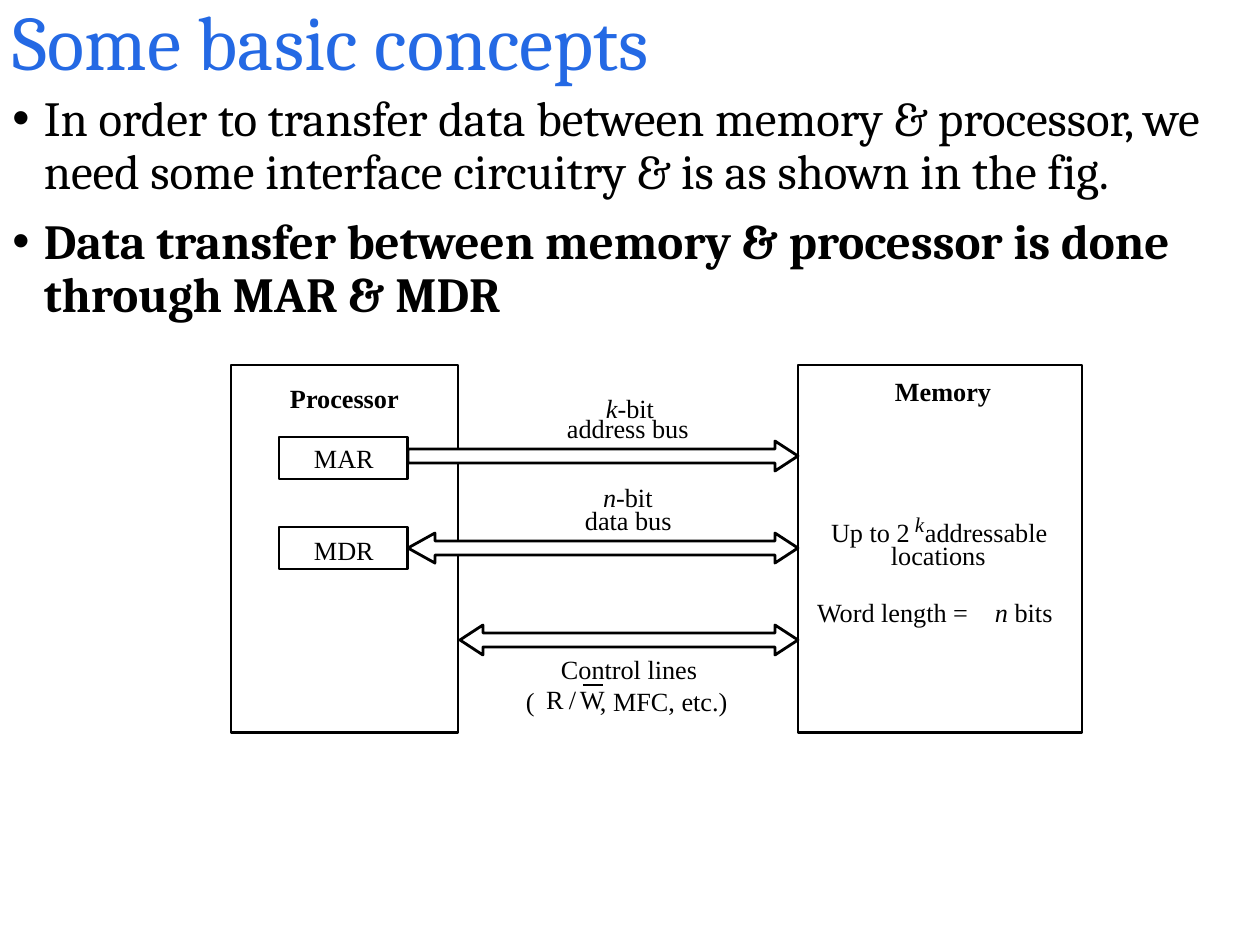
from lxml import etree
from pptx import Presentation
from pptx import util as u
from pptx.dml.color import RGBColor
from pptx.enum import shapes, text
from pptx.oxml.ns import qn

PX = 914400 / 126
SERIF, ROMAN = "Cambria", "Times New Roman"
BLACK, WHITE, BLUE = "000000", "FFFFFF", "2469E4"
STROKE = 1.62

# Left, top, width and runs of each label; "i:" marks italic, "b:" bold
LABELS = [
    (290, 382, 110, ["b:Processor"]),
    (895, 375, 98, ["b:Memory"]),
    (314, 442, 62, ["MAR"]),
    (314, 534, 62, ["MDR"]),
    (606, 392, 52, ["i:k", "-bit"]),
    (567, 412, 124, ["address bus"]),
    (603, 481, 54, ["i:n", "-bit"]),
    (585, 504, 89, ["data bus"]),
    (561, 653, 140, ["Control lines"]),
    (526, 685, 10, ["("]),
    (546, 683, 19, ["R"]),
    (569, 683, 8, ["/"]),
    (580, 683, 26, ["W"]),
    (600, 685, 130, [", MFC, etc.)"]),
    (831, 516, 81, ["Up to 2"]),
    (925, 516, 125, ["addressable"]),
    (891, 539, 97, ["locations"]),
    (817, 596, 155, ["Word length ="]),
    (995, 596, 60, ["i:n", " bits"]),
]


def px(*vals):
    return [u.Emu(round(v * PX)) for v in vals]


def color(code):
    return RGBColor.from_string(code)


def write(para, words, size=15, font=ROMAN, ink=BLACK, bold=False, ital=False):
    run = para.add_run()
    run.text = words
    f = run.font
    f.size, f.name, f.bold, f.italic = u.Pt(size), font, bold, ital
    f.color.rgb = color(ink)


def label(slide, left, top, width, runs, size=15):
    frame = slide.shapes.add_textbox(*px(left, top, width, 31)).text_frame
    frame.margin_left = frame.margin_right = 0
    frame.margin_top = frame.margin_bottom = 0
    frame.word_wrap = False
    frame.auto_size = text.MSO_AUTO_SIZE.SHAPE_TO_FIT_TEXT
    for item in runs:
        words = item[2:] if item[:2] in ("i:", "b:") else item
        write(frame.paragraphs[0], words, size,
              bold=item.startswith("b:"), ital=item.startswith("i:"))


def style(shape, fill=None):
    shape.shadow.inherit = False
    if fill:
        shape.fill.solid()
        shape.fill.fore_color.rgb = color(fill)
    else:
        shape.fill.background()
    shape.line.color.rgb = color(BLACK)
    shape.line.width = u.Pt(STROKE)


def box(slide, left, top, width, height, fill=None):
    kind = shapes.MSO_SHAPE.RECTANGLE
    style(slide.shapes.add_shape(kind, *px(left, top, width, height)), fill)


def arrow(slide, left, mid, tail=0, right=798, head=23):
    """Block arrow to the right; a tail length adds a head on the left."""
    shaft, wing = 7, 15
    neck, base = right - head, left + tail
    upper = [(base, -shaft), (neck, -shaft), (neck, -wing), (right, 0)]
    if tail:
        upper = [(left, 0), (base, -wing)] + upper
    lower = [(x, -y) for x, y in reversed(upper) if y]
    pts = [(round(x * PX), round((mid + y) * PX)) for x, y in upper + lower]
    path = slide.shapes.build_freeform(*pts[0])
    path.add_line_segments(pts[1:], close=True)
    style(path.convert_to_shape(), WHITE)


def bar(slide, x1, x2, y):
    kind = shapes.MSO_CONNECTOR.STRAIGHT
    line = slide.shapes.add_connector(kind, *px(x1, y, x2, y))
    line.line.color.rgb = color(BLACK)
    line.line.width = u.Pt(STROKE)
    etree.SubElement(line._element.spPr, qn("a:effectLst"))


def head(slide, words):
    title = slide.shapes.title
    title.left, title.top, title.width, title.height = px(0, 3, 1178, 85)
    frame = title.text_frame
    frame.auto_size = text.MSO_AUTO_SIZE.NONE
    frame.vertical_anchor = text.MSO_ANCHOR.MIDDLE
    para = frame.paragraphs[0]
    para.alignment = text.PP_ALIGN.LEFT
    para.line_spacing = 0.9
    write(para, words, 44, SERIF, BLUE)


def points(slide, items):
    frame = slide.shapes.add_textbox(*px(0, 88, 1260, 668)).text_frame
    frame.word_wrap = True
    for n, (words, bold) in enumerate(items):
        para = frame.add_paragraph() if n else frame.paragraphs[0]
        para.line_spacing = 0.9
        para.space_before = u.Pt(10 if n else 0)
        props = para._p.get_or_add_pPr()
        props.set("marL", str(u.Inches(0.25)))
        props.set("indent", str(-u.Inches(0.25)))
        etree.SubElement(props, qn("a:buFont"), typeface="Arial")
        etree.SubElement(props, qn("a:buChar"), char="•")
        write(para, words, 28, SERIF, bold=bold)


def main():
    prs = Presentation()
    prs.slide_width, prs.slide_height = px(1260, 945)
    slide = prs.slides.add_slide(prs.slide_layouts[5])

    # Title and bullets
    head(slide, "Some basic concepts")
    points(slide, [
        ("In order to transfer data between memory & processor, we need "
         "some interface circuitry & is as shown in the fig.", False),
        ("Data transfer between memory & processor is done through "
         "MAR & MDR", True),
    ])

    # Processor, memory and the three buses between them
    box(slide, 231, 365, 227, 368)
    box(slide, 798, 365, 284, 368)
    mids = [456 + 92 * n for n in range(3)]
    for mid, left, tail in zip(mids, (408, 408, 460), (0, 27, 23)):
        arrow(slide, left, mid, tail)

    # Registers
    for top in (437, 527):
        box(slide, 279, top, 129, 42, WHITE)

    # Labels, exponent and the bar over W
    for item in LABELS:
        label(slide, *item)
    label(slide, 915, 512, 10, ["i:k"], 12)
    bar(slide, 583, 603, 685)

    prs.save("out.pptx")


if __name__ == "__main__":
    main()
